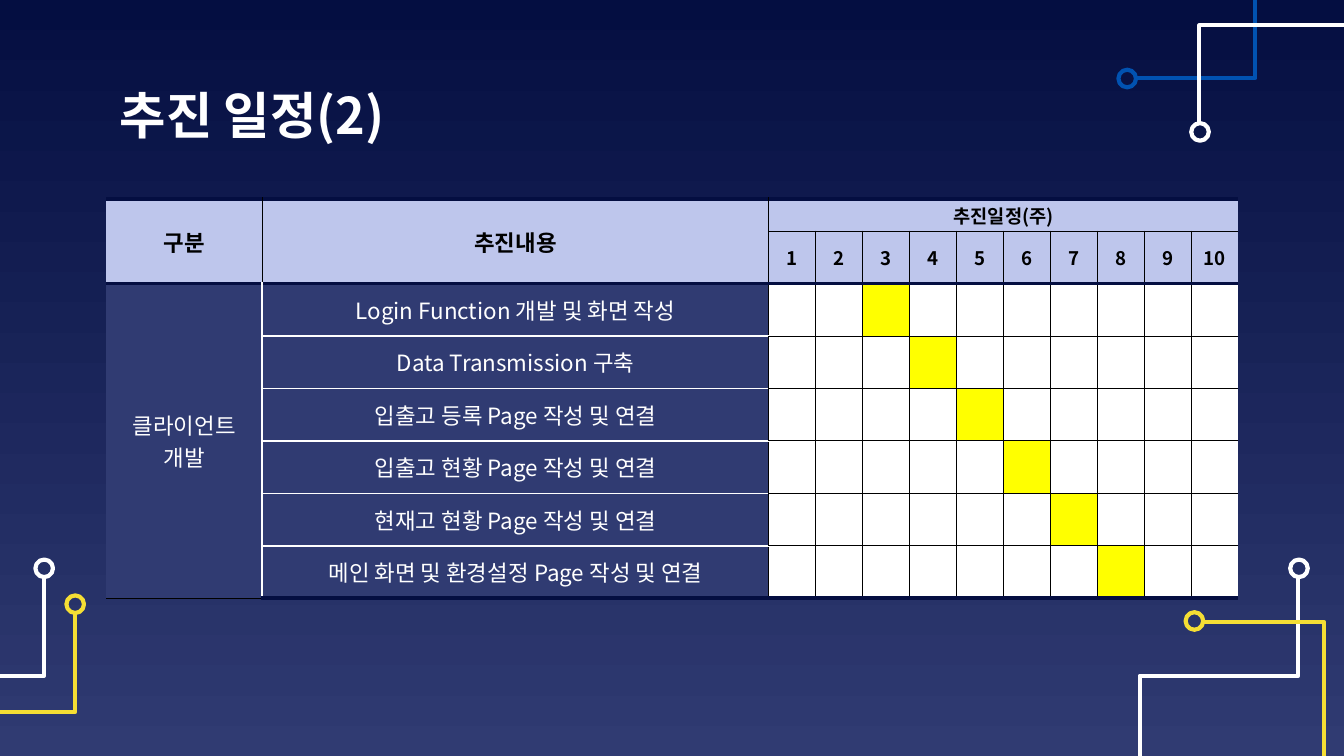
from lxml import etree
from pptx import Presentation
from pptx.dml.color import RGBColor
from pptx.enum import shapes, text
from pptx.oxml import ns
from pptx.util import Pt

FONT = "Noto Sans CJK KR"
COLORS = {
    "navy": "040E41", "indigo": "303B72", "lavender": "BEC6EC", "white": "FFFFFF",
    "black": "000000", "yellow": "FFFF00", "gold": "F5DE34", "blue": "0152B1",
}
THICK, RULE, HAIRLINE = ("navy", 2.25), ("white", 1), ("black", 0.56)

# Colour, corner points of the line, left and top of its end ring
TRACES = [
    ("white", [(695.5, 308), (695.5, 362), (610.5, 362), (610.5, 411.5)], (691.2, 299.8)),
    ("blue", [(608.4, 41.8), (672.5, 41.8), (672.5, -37.5)], (599.2, 37.4)),
    ("white", [(642.5, 66.6), (642.5, 13.6), (727.7, 13.6), (727.7, -37.5)], (638.2, 66)),
    ("gold", [(644, 333.2), (709.2, 333.2), (709.2, 411.2)], (635.2, 328)),
    ("white", [(23.6, 308), (23.6, 362), (-61.8, 362), (-61.8, 411.5)], (19, 299.8)),
    ("gold", [(40.3, 327.6), (40.3, 381.5), (-45, 381.5), (-45, 430.8)], (35.6, 319)),
]
RING = 9.4

WEEKS = 10
HEADER_ROWS, LABEL_COLUMNS = 2, 2
FIRST_TASK_WEEK = 3
TASKS = [
    "Login Function 개발 및 화면 작성",
    "Data Transmission 구축",
    "입출고 등록 Page 작성 및 연결",
    "입출고 현황 Page 작성 및 연결",
    "현재고 현황 Page 작성 및 연결",
    "메인 화면 및 환경설정 Page 작성 및 연결",
]
ROW_COUNT = HEADER_ROWS + len(TASKS)
COLUMN_COUNT = LABEL_COLUMNS + WEEKS


def rgb(name):
    return RGBColor.from_string(COLORS[name])


def write(frame, content, size=12, color="white", bold=False, align=text.PP_ALIGN.CENTER):
    """Fill a text frame with one paragraph for each line of content."""
    for number, line in enumerate(content.split("\n")):
        paragraph = frame.add_paragraph() if number else frame.paragraphs[0]
        paragraph.alignment = align
        run = paragraph.add_run()
        run.text = line
        font = run.font
        font.name, font.size, font.bold = FONT, Pt(size), bold
        font.color.rgb = rgb(color)
        east_asian = etree.SubElement(run._r.get_or_add_rPr(), ns.qn("a:ea"))
        east_asian.set("typeface", FONT)


def horizontal_rule(edge, column):
    """Border along a row edge, counted from the top of the table."""
    if edge == ROW_COUNT and column == 0:
        return HAIRLINE
    if edge in (0, HEADER_ROWS, ROW_COUNT):
        return THICK
    if column >= LABEL_COLUMNS:
        return HAIRLINE
    return RULE if column == 1 and edge > HEADER_ROWS else None


def vertical_rule(edge, row):
    """Border along a column edge, counted from the left of the table."""
    if edge in (0, COLUMN_COUNT) or (row == 0 and edge > LABEL_COLUMNS):
        return None
    return RULE if edge == 1 and row >= HEADER_ROWS else HAIRLINE


def set_border(cell, side, rule):
    line = etree.SubElement(cell._tc.get_or_add_tcPr(), ns.qn(f"a:ln{side}"))
    if rule is None:
        etree.SubElement(line, ns.qn("a:noFill"))
        return
    color, width = rule
    line.set("w", str(int(Pt(width))))
    fill = etree.SubElement(line, ns.qn("a:solidFill"))
    etree.SubElement(fill, ns.qn("a:srgbClr")).set("val", COLORS[color])


def cell_color(row, column):
    if row < HEADER_ROWS:
        return "lavender"
    if column < LABEL_COLUMNS:
        return "indigo"
    week = column - LABEL_COLUMNS + 1
    return "yellow" if week == row - HEADER_ROWS + FIRST_TASK_WEEK else "white"


class ScheduleSlide:
    def __init__(self, deck):
        self.slide = deck.slides.add_slide(deck.slide_layouts[5])

    def background(self, top, bottom):
        fill = self.slide.background.fill
        fill.gradient()
        fill.gradient_angle = 270
        for stop, color in zip(fill.gradient_stops, (top, bottom)):
            stop.color.rgb = rgb(color)

    def outline(self, shape, color):
        shape.shadow.inherit = False
        shape.fill.background()
        shape.line.color.rgb = rgb(color)
        shape.line.width = Pt(2.25)

    def trace(self, color, corners, ring_at):
        """Circuit line that ends in a ring."""
        start, *rest = [(Pt(x), Pt(y)) for x, y in corners]
        builder = self.slide.shapes.build_freeform(*start)
        builder.add_line_segments(rest, close=False)
        self.outline(builder.convert_to_shape(), color)
        left, top = ring_at
        ring = self.slide.shapes.add_shape(
            shapes.MSO_SHAPE.OVAL, Pt(left), Pt(top), Pt(RING), Pt(RING))
        self.outline(ring, color)

    def title(self, content):
        heading = self.slide.shapes.title
        heading.left, heading.top = Pt(56.9), Pt(42.5)
        heading.width, heading.height = Pt(607), Pt(37.5)
        frame = heading.text_frame
        frame.auto_size = text.MSO_AUTO_SIZE.NONE
        frame.vertical_anchor = text.MSO_ANCHOR.MIDDLE
        frame.margin_left = frame.margin_right = Pt(7.2)
        frame.margin_top = frame.margin_bottom = Pt(7.2)
        write(frame, content, size=27, bold=True, align=text.PP_ALIGN.LEFT)

    def schedule(self):
        widths = [83.6, 271.4] + [25.15] * WEEKS
        heights = [15.3] + [28.1] * (ROW_COUNT - 1)
        table = self.slide.shapes.add_table(
            ROW_COUNT, COLUMN_COUNT, Pt(56.9), Pt(106.6),
            Pt(sum(widths)), Pt(sum(heights))).table
        table.first_row = table.horz_banding = False
        for column, width in zip(table.columns, widths):
            column.width = Pt(width)
        for row, height in zip(table.rows, heights):
            row.height = Pt(height)

        for column in range(LABEL_COLUMNS):
            table.cell(0, column).merge(table.cell(HEADER_ROWS - 1, column))
        table.cell(0, LABEL_COLUMNS).merge(table.cell(0, COLUMN_COUNT - 1))
        table.cell(HEADER_ROWS, 0).merge(table.cell(ROW_COUNT - 1, 0))
        for row in range(ROW_COUNT):
            for column in range(COLUMN_COUNT):
                self.format_cell(table.cell(row, column), row, column)

        header = {"color": "black", "bold": True}
        write(table.cell(0, 0).text_frame, "구분", **header)
        write(table.cell(0, 1).text_frame, "추진내용", **header)
        write(table.cell(0, LABEL_COLUMNS).text_frame, "추진일정(주)", size=10, **header)
        for week in range(1, WEEKS + 1):
            cell = table.cell(1, LABEL_COLUMNS + week - 1)
            cell.margin_left = cell.margin_right = Pt(6.5)
            write(cell.text_frame, str(week), size=10, **header)
        write(table.cell(HEADER_ROWS, 0).text_frame, "클라이언트\n개발")
        for row, task in enumerate(TASKS, HEADER_ROWS):
            write(table.cell(row, 1).text_frame, task)

    def format_cell(self, cell, row, column):
        bottom = row + (cell.span_height if cell.is_merge_origin else 1)
        right = column + (cell.span_width if cell.is_merge_origin else 1)
        set_border(cell, "L", vertical_rule(column, row))
        set_border(cell, "R", vertical_rule(right, row))
        set_border(cell, "T", horizontal_rule(row, column))
        set_border(cell, "B", horizontal_rule(bottom, column))
        cell.fill.solid()
        cell.fill.fore_color.rgb = rgb(cell_color(row, column))
        cell.vertical_anchor = text.MSO_ANCHOR.MIDDLE
        cell.margin_left = cell.margin_right = Pt(4.3)
        cell.margin_top = cell.margin_bottom = Pt(1.4)


def main():
    deck = Presentation()
    deck.slide_width, deck.slide_height = Pt(720), Pt(405)
    page = ScheduleSlide(deck)
    page.background("navy", "indigo")
    for color, corners, ring_at in TRACES:
        page.trace(color, corners, ring_at)
    page.title("추진 일정(2)")
    page.schedule()
    deck.save("out.pptx")


if __name__ == "__main__":
    main()
